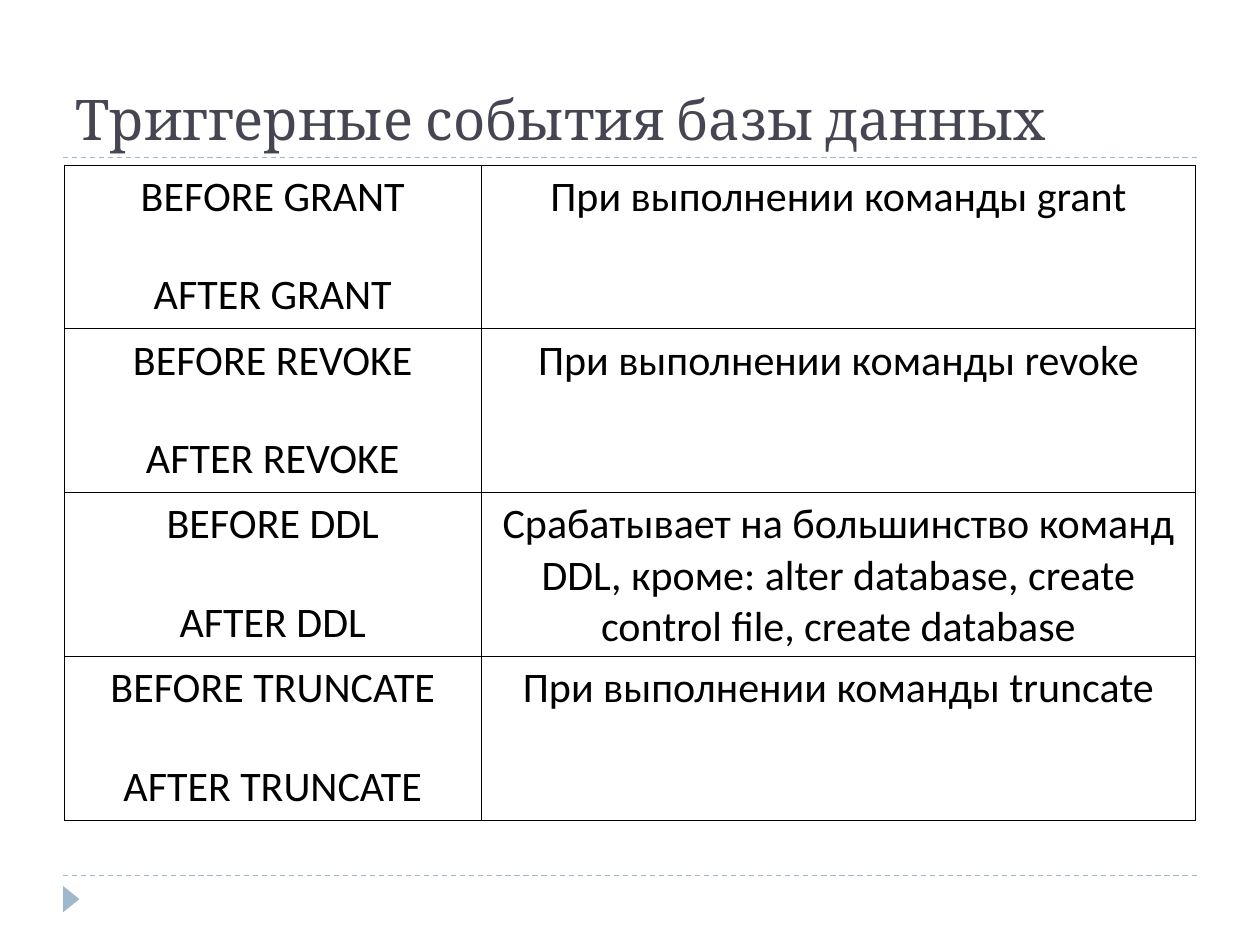
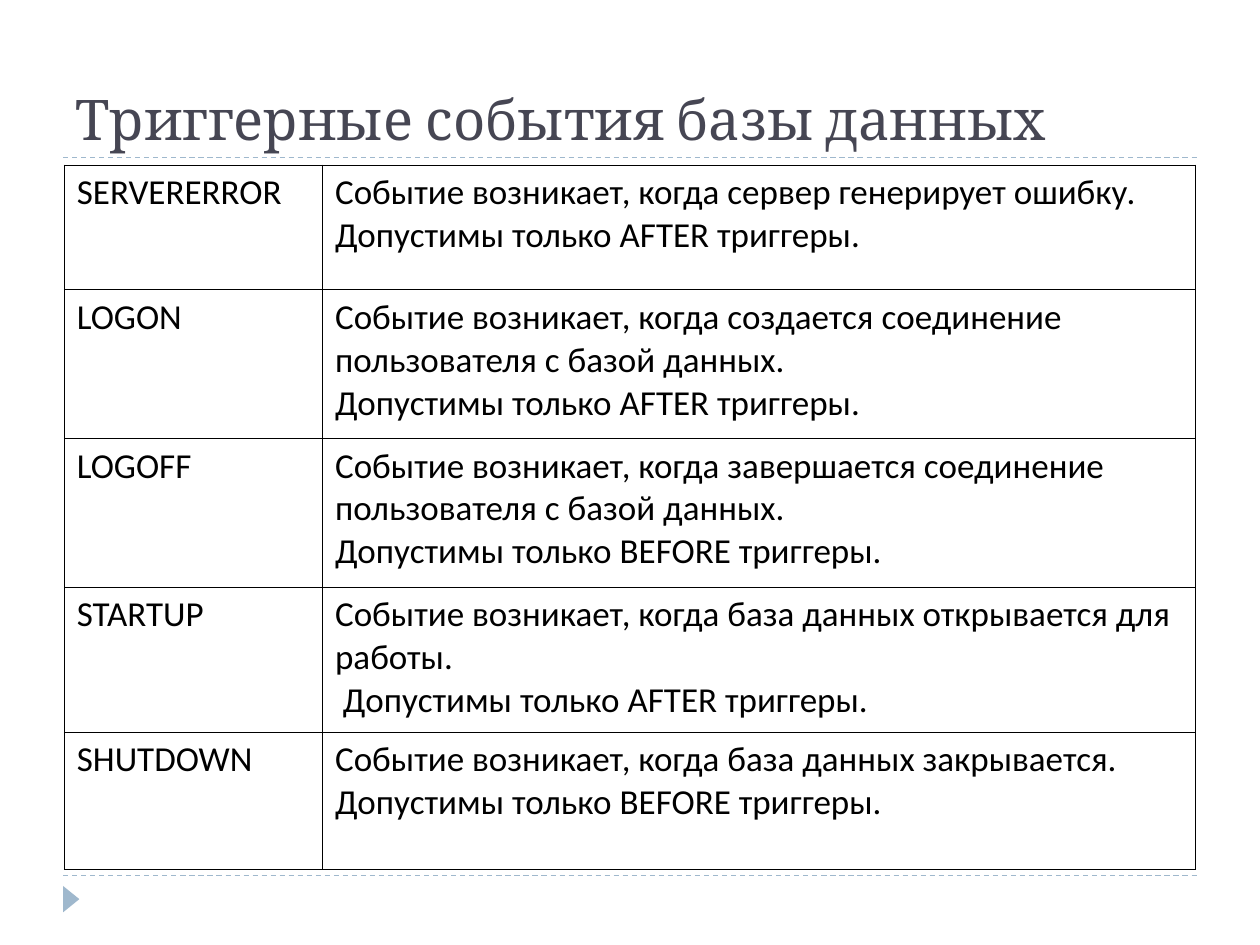
from lxml.etree import SubElement
from pptx import Presentation
from pptx.dml.color import RGBColor
from pptx.enum.dml import MSO_LINE_DASH_STYLE as DASH
from pptx.enum.shapes import MSO_CONNECTOR as CONN, MSO_SHAPE as SHAPE
from pptx.enum.text import MSO_ANCHOR as ANCHOR, PP_ALIGN as ALIGN
from pptx.oxml import parse_xml
from pptx.oxml.ns import nsdecls, qn
from pptx.util import Inches, Pt

TITLE_INK = RGBColor(0x46, 0x46, 0x53)
ACCENT = RGBColor(0x9F, 0xB8, 0xCD)
BLACK = RGBColor(0x00, 0x00, 0x00)
TITLE_FONT, BODY_FONT = "Cambria", "Calibri"

WIDTH, HEIGHT = 10, 7.5
MARGIN = 0.5
TITLE_BOX = (MARGIN, 0.6, WIDTH - 2 * MARGIN, 0.65)
FOOTER_BOX = (MARGIN, 6.95, WIDTH - 2 * MARGIN, 0.55)
TABLE_LEFT, TABLE_TOP, TABLE_WIDTH = 0.51, 1.31, 8.98

TITLE = "Триггерные события базы данных"
ONLY = "Допустимы только {} триггеры."
COMMANDS = [
    ("GRANT", "При выполнении команды grant"),
    ("REVOKE", "При выполнении команды revoke"),
    ("DDL", "Срабатывает на большинство команд DDL, кроме: alter database, "
            "create control file, create database"),
    ("TRUNCATE", "При выполнении команды truncate"),
]
EVENTS = [
    ("SERVERERROR", "сервер генерирует ошибку.", ONLY.format("AFTER")),
    ("LOGON", "создается соединение пользователя с базой данных.", ONLY.format("AFTER")),
    ("LOGOFF", "завершается соединение пользователя с базой данных.", ONLY.format("BEFORE")),
    ("STARTUP", "база данных открывается для работы.", " " + ONLY.format("AFTER")),
    ("SHUTDOWN", "база данных закрывается.", ONLY.format("BEFORE")),
]


def write(tf, lines, size, font, color, align=ALIGN.LEFT, gap=0):
    """Write one paragraph per line, with a gap in points between them."""
    tf.word_wrap = True
    for i, line in enumerate(lines):
        p = tf.add_paragraph() if i else tf.paragraphs[0]
        p.alignment = align
        p.space_before = Pt(gap if i else 0)
        r = p.add_run()
        r.text = line
        r.font.size, r.font.name = Pt(size), font
        r.font.color.rgb = color


def add_rule(s, left, top, width):
    """Draw a dashed horizontal rule."""
    line = s.shapes.add_connector(
        CONN.STRAIGHT, Inches(left), Inches(top), Inches(left + width), Inches(top))
    line.line.color.rgb = ACCENT
    line.line.width = Pt(0.74)
    line.line.dash_style = DASH.DASH
    SubElement(line._element.spPr, qn("a:effectLst"))


def add_title(s, box, text):
    """Place the title at the bottom of its box, above a rule."""
    left, top, width, height = box
    tf = s.shapes.add_textbox(*map(Inches, box)).text_frame
    tf.vertical_anchor = ANCHOR.BOTTOM
    write(tf, [text], 32, TITLE_FONT, TITLE_INK)
    add_rule(s, left, top + height, width)


def add_footer(s, box):
    """Draw the footer rule and the pointer below its left end."""
    left, top, width, height = box
    add_rule(s, left, top, width)
    sp = s.shapes.add_shape(
        SHAPE.ISOSCELES_TRIANGLE, Inches(left - 0.04), Inches(top + 0.22 * height),
        Inches(0.21), Inches(0.13))
    sp.rotation = 90
    sp.shadow.inherit = False
    sp.fill.solid()
    sp.fill.fore_color.rgb = ACCENT
    sp.line.fill.background()


def set_borders(cell):
    """Give a cell thin black borders on all sides."""
    tc_pr = cell._tc.get_or_add_tcPr()
    for i, side in enumerate(("lnL", "lnR", "lnT", "lnB")):
        tc_pr.insert(i, parse_xml(
            f'<a:{side} {nsdecls("a")} w="{Pt(0.45)}"><a:solidFill>'
            f'<a:srgbClr val="{BLACK}"/></a:solidFill></a:{side}>'))


def add_grid(s, box, first_share, row_heights, rows, **text_format):
    """Place a two-column table whose first column takes a share of the width."""
    left, top, width = box
    frame = s.shapes.add_table(
        len(rows), 2, Inches(left), Inches(top), Inches(width), Inches(sum(row_heights)))
    table = frame.table
    table.first_row = table.horz_banding = False
    for column, share in zip(table.columns, (first_share, 1 - first_share)):
        column.width = Inches(width * share)
    for row, height, texts in zip(table.rows, row_heights, rows):
        row.height = Inches(height)
        for cell, lines in zip(row.cells, texts):
            cell.fill.background()
            set_borders(cell)
            write(cell.text_frame, lines, font=BODY_FONT, color=BLACK, **text_format)


def add_table_slide(prs, *grid, **text_format):
    """Add a slide with the shared title, the footer and a table."""
    s = prs.slides.add_slide(prs.slide_layouts[6])
    add_footer(s, FOOTER_BOX)
    add_title(s, TITLE_BOX, TITLE)
    add_grid(s, (TABLE_LEFT, TABLE_TOP, TABLE_WIDTH), *grid, **text_format)


def main():
    """Build and save the presentation."""
    prs = Presentation()
    prs.slide_width, prs.slide_height = Inches(WIDTH), Inches(HEIGHT)
    commands = [([f"BEFORE {name}", f"AFTER {name}"], [text]) for name, text in COMMANDS]
    add_table_slide(prs, 3.31 / TABLE_WIDTH, [1.3] * 4, commands,
                    size=24, align=ALIGN.CENTER, gap=27)
    events = [([name], [f"Событие возникает, когда {when}", only])
              for name, when, only in EVENTS]
    add_table_slide(prs, 2.05 / TABLE_WIDTH, [0.99, 1.18, 1.18, 1.15, 1.09], events, size=20)
    prs.save("out.pptx")


main()
